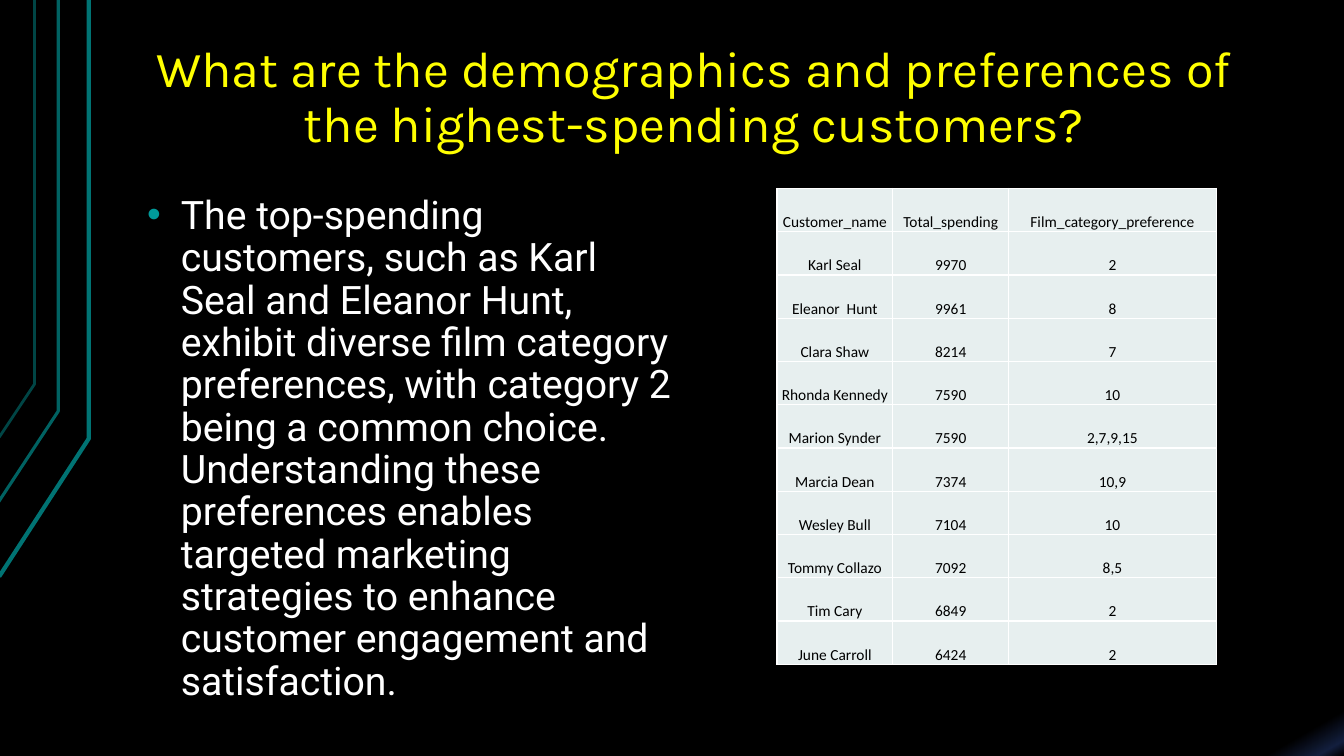
from lxml import etree
from pptx import Presentation
from pptx.dml.color import RGBColor
from pptx.enum import text as t
from pptx.oxml import parse_xml
from pptx.oxml.ns import nsdecls, qn
from pptx.util import Cm, Pt

TITLE = "What are the demographics and preferences of the highest-spending customers?"
BODY = (
    "The top-spending customers, such as Karl Seal and Eleanor Hunt, exhibit "
    "diverse film category preferences, with category 2 being a common choice. "
    "Understanding these preferences enables targeted marketing strategies to "
    "enhance customer engagement and satisfaction."
)
ROWS = [
    ("Customer_name", "Total_spending", "Film_category_preference"),
    ("Karl Seal", "9970", "2"),
    ("Eleanor  Hunt", "9961", "8"),
    ("Clara Shaw", "8214", "7"),
    ("Rhonda Kennedy", "7590", "10"),
    ("Marion Synder", "7590", "2,7,9,15"),
    ("Marcia Dean", "7374", "10,9"),
    ("Wesley Bull", "7104", "10"),
    ("Tommy Collazo", "7092", "8,5"),
    ("Tim Cary", "6849", "2"),
    ("June Carroll", "6424", "2"),
]
# Points in cm, line width in pt, opacity in percent
RAILS = [
    ([(-0.02, 14.53), (2.24, 11.05), (2.24, 0)], 3, 100),
    ([(-0.05, 12.67), (1.47, 10.36), (1.47, 0)], 2.25, 85),
    ([(-0.02, 11.02), (0.87, 9.68), (0.87, 0)], 2, 60),
]
GLOW = [(97, "000000"), (99, "131F3E"), (100, "000000"), (100, "0F1931")]


def color(code):
    return RGBColor.from_string(code)


def write(frame, words, font="Calibri", size=11, ink="000000", align="LEFT",
          line=None, before=0):
    """Fill a text frame with one formatted paragraph and return it."""
    para = frame.paragraphs[0]
    para.alignment = getattr(t.PP_ALIGN, align)
    para.space_before = Pt(before)
    if line:
        para.line_spacing = line
    run = para.add_run()
    run.text = words
    run.font.name, run.font.size = font, Pt(size)
    run.font.color.rgb = color(ink)
    return para


def pad(box, left, top, right, bottom):
    box.margin_left, box.margin_top = Cm(left), Cm(top)
    box.margin_right, box.margin_bottom = Cm(right), Cm(bottom)


class Deck:
    teal, dot = "007373", "009999"
    cell, edge = "E7EFEF", "FFFFFF"
    inset = (0.33, 0.18, 0.33, 0.18)

    def __init__(self):
        self.prs = Presentation()
        self.prs.slide_width, self.prs.slide_height = Cm(33.87), Cm(19.05)
        self.slide = self.prs.slides.add_slide(self.prs.slide_layouts[5])

    def back(self, stops, angle):
        """Give the slide a linear gradient with any number of stops."""
        marks = "".join(
            f'<a:gs pos="{pos * 1000}"><a:srgbClr val="{code}"/></a:gs>'
            for pos, code in stops)
        self.slide.element.cSld.insert(0, parse_xml(
            f'<p:bg {nsdecls("p", "a")}><p:bgPr><a:gradFill>'
            f'<a:gsLst>{marks}</a:gsLst><a:lin ang="{angle * 60000}" scaled="0"/>'
            '</a:gradFill><a:effectLst/></p:bgPr></p:bg>'))

    def rail(self, points, width, alpha):
        """Draw an open line through the points."""
        first, *rest = [(Cm(x), Cm(y)) for x, y in points]
        pen = self.slide.shapes.build_freeform(*first)
        pen.add_line_segments(rest, close=False)
        shape = pen.convert_to_shape()
        shape.shadow.inherit = False
        shape.fill.background()
        shape.line.color.rgb = color(self.teal)
        shape.line.width = Pt(width)
        tint = shape.line._ln.find(".//" + qn("a:srgbClr"))
        etree.SubElement(tint, qn("a:alpha"), val=str(alpha * 1000))

    def title(self, words, x, y, w, h):
        shape = self.slide.shapes.title
        shape.left, shape.top, shape.width, shape.height = map(Cm, (x, y, w, h))
        frame = shape.text_frame
        frame.auto_size = t.MSO_AUTO_SIZE.NONE
        frame.vertical_anchor = t.MSO_ANCHOR.BOTTOM
        pad(frame, *self.inset)
        write(frame, words, font="Karla", size=36, ink="FFFF00",
              align="CENTER", line=0.9)

    def bullet(self, words, x, y, w, h):
        frame = self.slide.shapes.add_textbox(*map(Cm, (x, y, w, h))).text_frame
        frame.word_wrap = True
        pad(frame, *self.inset)
        para = write(frame, words, font="Roboto", size=28, ink="FFFFFF",
                     line=0.9, before=16)
        props = para._p.get_or_add_pPr()
        props.set("marL", str(Cm(0.85)))
        props.set("indent", str(-Cm(0.85)))
        tint = etree.SubElement(props, qn("a:buClr"))
        etree.SubElement(tint, qn("a:srgbClr"), val=self.dot)
        etree.SubElement(props, qn("a:buFont"), typeface="Arial")
        etree.SubElement(props, qn("a:buChar"), char="•")

    def border(self, cell):
        props = cell._tc.get_or_add_tcPr()
        for side in "LRTB":
            props.append(parse_xml(
                f'<a:ln{side} {nsdecls("a")} w="{Pt(1)}"><a:solidFill>'
                f'<a:srgbClr val="{self.edge}"/></a:solidFill></a:ln{side}>'))

    def table(self, rows, x, y, widths, high):
        grid = self.slide.shapes.add_table(
            len(rows), len(widths), Cm(x), Cm(y),
            Cm(sum(widths)), Cm(high * len(rows))).table
        grid.first_row = grid.horz_banding = False
        for col, wide in zip(grid.columns, widths):
            col.width = Cm(wide)
        for row, words in zip(grid.rows, rows):
            row.height = Cm(high)
            for cell, word in zip(row.cells, words):
                self.border(cell)
                cell.fill.solid()
                cell.fill.fore_color.rgb = color(self.cell)
                cell.vertical_anchor = t.MSO_ANCHOR.BOTTOM
                pad(cell, 0.03, 0.03, 0.03, 0)
                write(cell.text_frame, word, align="CENTER")


def main():
    deck = Deck()
    deck.back(GLOW, 60)
    for rail in RAILS:
        deck.rail(*rail)
    deck.title(TITLE, 3.1, 0.64, 28.78, 3.4)
    deck.bullet(BODY, 3.38, 4.75, 14.1, 12.4)
    deck.table(ROWS, 19.58, 4.75, (2.92, 2.92, 5.23), 1.09)
    deck.prs.save("out.pptx")


if __name__ == "__main__":
    main()
